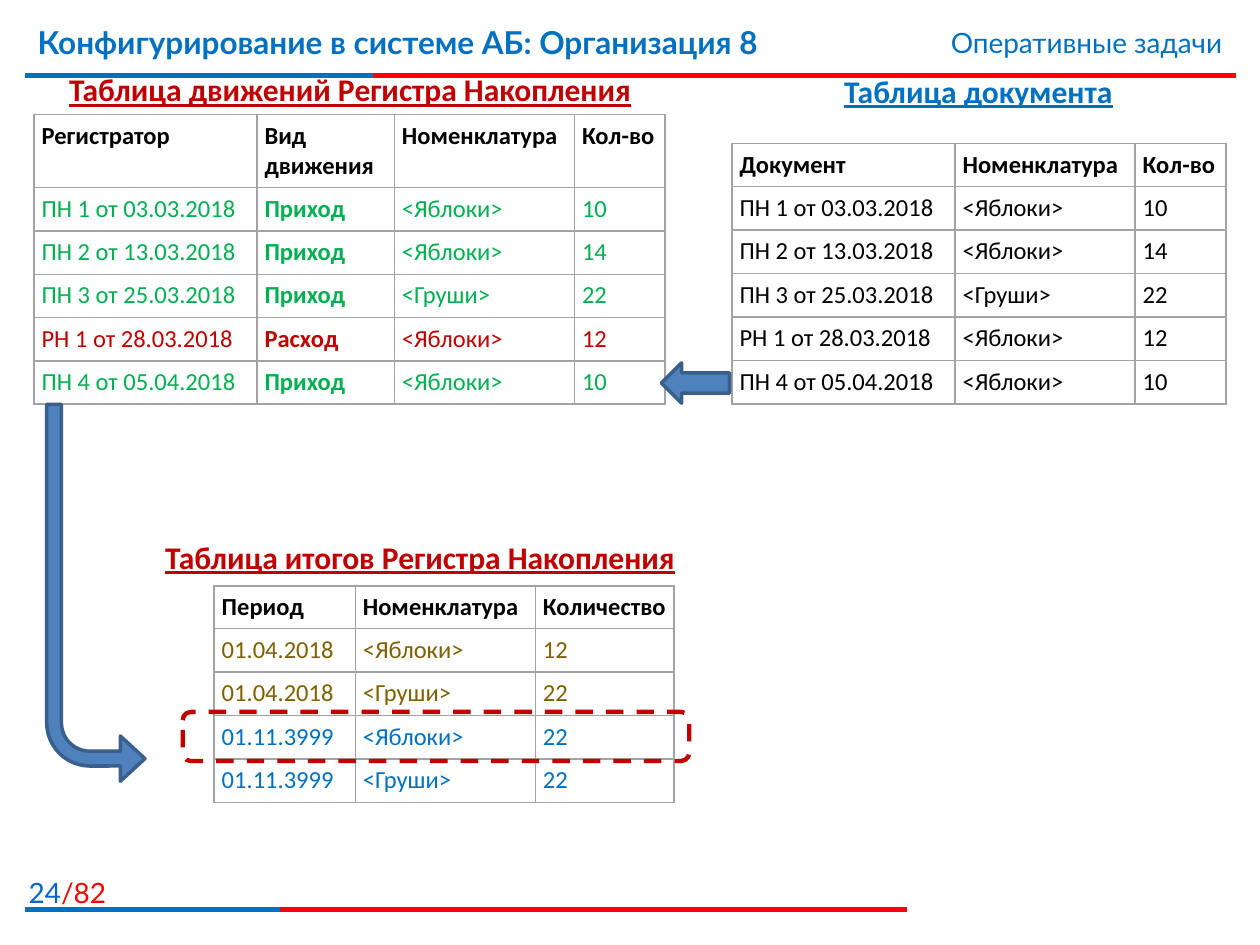
"""Build the slide on accumulation register movements and totals."""
from dataclasses import dataclass

from lxml import etree
from pptx import Presentation
from pptx import util as u
from pptx.dml.color import RGBColor
from pptx.enum import dml, shapes, text
from pptx.oxml import ns


@dataclass(frozen=True)
class Theme:
    blue: str = "0070C0"
    page_blue: str = "0066CC"
    red: str = "FF0000"
    dark_red: str = "C00000"
    green: str = "00B050"
    olive: str = "7F6000"
    black: str = "000000"
    border: str = "A3A3A3"
    arrow: str = "4F81BD"
    arrow_line: str = "3A5F8C"
    head_font: str = "Lato"
    body_font: str = "Calibri"
    title: int = 18
    label: int = 16
    cell: int = 14


T = Theme()


def add_text(tf, words, size=T.cell, font=T.body_font, color=T.black,
             bold=False, underline=False, align=text.PP_ALIGN.LEFT):
    tf.word_wrap = True
    p = tf.paragraphs[0]
    p.alignment = align
    r = p.add_run()
    r.text = words
    r.font.size = u.Pt(size)
    r.font.name = font
    r.font.color.rgb = RGBColor.from_string(color)
    r.font.bold = bold
    r.font.underline = underline


def box(left, top, width, height):
    return [u.Inches(v) for v in (left, top, width, height)]


prs = Presentation()
prs.slide_width, prs.slide_height = u.Inches(10), u.Inches(7.5)
s = prs.slides.add_slide(prs.slide_layouts[6])

for y, right, color in [(0.6, 9.81, T.red), (0.6, 2.96, T.blue),
                        (7.22, 7.2, T.red), (7.22, 2.22, T.blue)]:
    rule = s.shapes.add_connector(shapes.MSO_CONNECTOR.STRAIGHT,
                                  u.Inches(0.2), u.Inches(y), u.Inches(right), u.Inches(y))
    rule.line.color.rgb = RGBColor.from_string(color)
    rule.line.width = u.Pt(3)
    etree.SubElement(rule.element.spPr, ns.qn("a:effectLst"))

RIGHT, CENTER = text.PP_ALIGN.RIGHT, text.PP_ALIGN.CENTER
page = s.shapes.add_textbox(*box(-0.1, 6.9, 1.04, 0.32)).text_frame
for words, color in [("24", T.page_blue), ("/82", T.red)]:
    add_text(page, words, size=T.label, font=T.head_font, color=color, align=RIGHT)

title = s.shapes.add_textbox(*box(0.2, 0.13, 7.4, 0.62)).text_frame
add_text(title, "Конфигурирование в системе АБ: Организация 8",
         size=T.title, font=T.head_font, color=T.blue, bold=True)
topic = s.shapes.add_textbox(*box(5.94, 0.15, 3.86, 0.37)).text_frame
add_text(topic, "Оперативные задачи", size=T.label, font=T.head_font,
         color=T.blue, align=RIGHT)

for words, color, place in [
    ("Таблица документа", T.blue, (5.56, 0.52, 4.41, 0.4)),
    ("Таблица движений Регистра Накопления", T.dark_red, (0.28, 0.51, 5, 0.4)),
    ("Таблица итогов Регистра Накопления", T.dark_red, (1.13, 4.22, 4.41, 0.4)),
]:
    heading = s.shapes.add_textbox(*box(*place)).text_frame
    add_text(heading, words, size=T.title, color=color, bold=True,
             underline=True, align=CENTER)

documents = [
    ("ПН 1 от 03.03.2018", "<Яблоки>", "10"),
    ("ПН 2 от 13.03.2018", "<Яблоки>", "14"),
    ("ПН 3 от 25.03.2018", "<Груши>", "22"),
    ("РН 1 от 28.03.2018", "<Яблоки>", "12"),
    ("ПН 4 от 05.04.2018", "<Яблоки>", "10"),
]
movements = [(doc, "Расход" if doc.startswith("РН") else "Приход", item, count)
             for doc, item, count in documents]
movement_colors = [T.dark_red if row[1] == "Расход" else T.green for row in movements]
totals = [
    ("01.04.2018", "<Яблоки>", "12"),
    ("01.04.2018", "<Груши>", "22"),
    ("01.11.3999", "<Яблоки>", "22"),
    ("01.11.3999", "<Груши>", "22"),
]
tables = [
    (1.7, 4.65, 1.72, 0.34, [1.12, 1.43, 1.1],
     ("Период", "Номенклатура", "Количество"), totals,
     [T.olive, T.olive, T.blue, T.blue]),
    (0.27, 0.91, 2.3, 0.58, [1.77, 1.09, 1.43, 0.72],
     ("Регистратор", "Вид движения", "Номенклатура", "Кол-во"), movements,
     movement_colors),
    (5.81, 1.14, 2.07, 0.34, [1.77, 1.43, 0.72],
     ("Документ", "Номенклатура", "Кол-во"), documents, [T.black] * 5),
]
for left, top, height, head_height, widths, header, body, colors in tables:
    rows = [header, *body]
    table = s.shapes.add_table(len(rows), len(widths),
                               *box(left, top, sum(widths), height)).table
    for col, width in zip(table.columns, widths):
        col.width = u.Inches(width)
    for i, (row, color) in enumerate(zip(rows, [T.black, *colors])):
        row_height = (height - head_height) / len(body) if i else head_height
        table.rows[i].height = u.Inches(row_height)
        for j, words in enumerate(row):
            cell = table.cell(i, j)
            cell.margin_left = cell.margin_right = u.Inches(0.06)
            cell.margin_top = cell.margin_bottom = u.Inches(0.05)
            add_text(cell.text_frame, words, color=color,
                     bold=i == 0 or header[j] == "Вид движения")
            tc_pr = cell._tc.get_or_add_tcPr()
            for side in ("lnL", "lnR", "lnT", "lnB"):
                ln = etree.SubElement(tc_pr, ns.qn(f"a:{side}"), w=str(u.Pt(1)))
                fill = etree.SubElement(ln, ns.qn("a:solidFill"))
                etree.SubElement(fill, ns.qn("a:srgbClr"), val=T.border)
            cell.fill.background()

KIND = shapes.MSO_SHAPE
to_register = s.shapes.add_shape(KIND.LEFT_ARROW, *box(5.25, 2.88, 0.54, 0.32))
to_totals = s.shapes.add_shape(KIND.BENT_ARROW, *box(0.37, 3.21, 0.78, 2.99))
for i, value in enumerate([0.15, 0.23, 0.25, 0.44]):
    to_totals.adjustments[i] = value
to_totals.rotation = 180
to_totals.element.spPr.get_or_add_xfrm().set("flipH", "1")
for sp in (to_register, to_totals):
    sp.shadow.inherit = False
    sp.fill.solid()
    sp.fill.fore_color.rgb = RGBColor.from_string(T.arrow)
    sp.line.color.rgb = RGBColor.from_string(T.arrow_line)
    sp.line.width = u.Pt(2)

highlight = s.shapes.add_shape(KIND.ROUNDED_RECTANGLE, *box(1.45, 5.65, 4.02, 0.39))
highlight.shadow.inherit = False
highlight.fill.background()
highlight.line.color.rgb = RGBColor.from_string(T.dark_red)
highlight.line.width = u.Pt(2.5)
highlight.line.dash_style = dml.MSO_LINE.DASH

prs.save("out.pptx")
